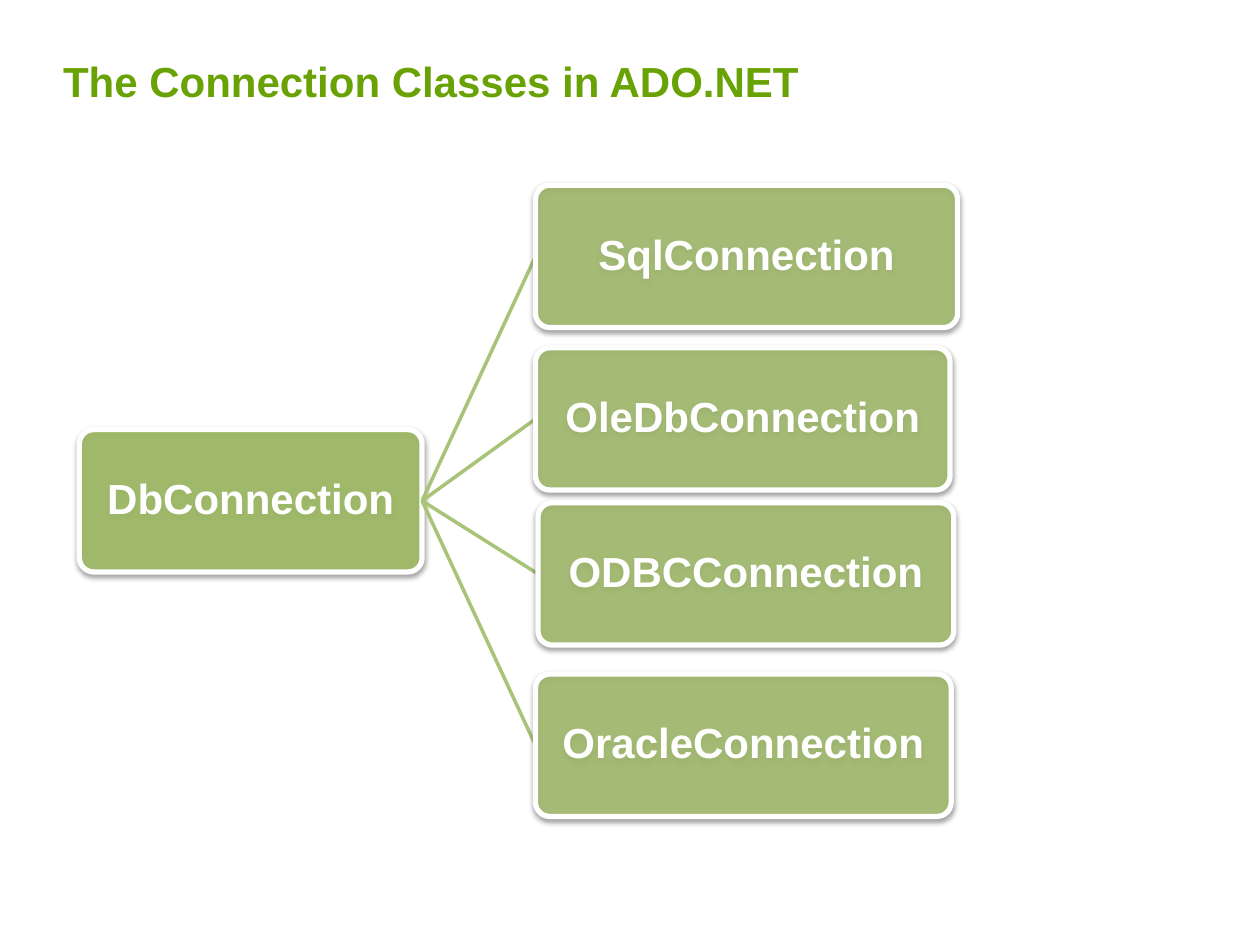
from dataclasses import dataclass

from lxml.etree import SubElement
from pptx import Presentation
from pptx.dml.color import RGBColor
from pptx.enum.shapes import MSO_CONNECTOR, MSO_SHAPE
from pptx.enum.text import MSO_ANCHOR, PP_ALIGN
from pptx.oxml.ns import qn
from pptx.util import Inches, Pt


@dataclass(frozen=True)
class Theme:
    font: str = "Arial"
    text_size: int = 24
    title: RGBColor = RGBColor(0x69, 0xA2, 0x05)
    box: RGBColor = RGBColor(0x9B, 0xBB, 0x59)
    link: RGBColor = RGBColor(0xA9, 0xC3, 0x79)
    white: RGBColor = RGBColor(0xFF, 0xFF, 0xFF)
    outline_width: int = 3
    link_width: int = 2


@dataclass(frozen=True)
class ClassBox:
    name: str
    left: float
    top: float
    width: float
    opacity: int = 70
    height: float = 1.13

    @property
    def middle(self) -> float:
        return self.top + self.height / 2

    @property
    def right(self) -> float:
        return self.left + self.width


THEME = Theme()
BASE_CLASS = ClassBox("DbConnection", 0.63, 3.41, 2.72, opacity=80)
DERIVED_CLASSES = [
    ClassBox("SqlConnection", 4.25, 1.47, 3.35),
    ClassBox("OleDbConnection", 4.25, 2.76, 3.29),
    ClassBox("ODBCConnection", 4.27, 3.99, 3.3),
    ClassBox("OracleConnection", 4.25, 5.35, 3.3),
]


def write_text(shape, text: str, color: RGBColor, alignment, frame_format: dict) -> None:
    """Fill a shape with one bold paragraph."""
    frame = shape.text_frame
    for name, value in frame_format.items():
        setattr(frame, name, value)
    paragraph = frame.paragraphs[0]
    paragraph.alignment = alignment
    run = paragraph.add_run()
    run.text = text
    font_format = {"name": THEME.font, "size": Pt(THEME.text_size), "bold": True}
    for name, value in font_format.items():
        setattr(run.font, name, value)
    run.font.color.rgb = color


def add_alpha(color_element, percent: int) -> None:
    SubElement(color_element, qn("a:alpha"), val=str(percent * 1000))


def add_shadow(shape) -> None:
    """Give a shape a soft shadow straight below it."""
    shape.shadow.inherit = False
    effects = shape.element.spPr.find(qn("a:effectLst"))
    shadow = SubElement(
        effects, qn("a:outerShdw"), blurRad=str(Pt(3.1)), dist=str(Pt(1.6)),
        dir="5400000", rotWithShape="0",
    )
    add_alpha(SubElement(shadow, qn("a:srgbClr"), val="000000"), 38)


def draw_box(slide, box: ClassBox) -> None:
    shape = slide.shapes.add_shape(
        MSO_SHAPE.ROUNDED_RECTANGLE,
        *map(Inches, (box.left, box.top, box.width, box.height)),
    )
    shape.adjustments[0] = 0.1
    shape.fill.solid()
    shape.fill.fore_color.rgb = THEME.box
    add_alpha(shape.element.spPr.find(qn("a:solidFill"))[0], box.opacity)
    shape.line.color.rgb = THEME.white
    shape.line.width = Pt(THEME.outline_width)
    add_shadow(shape)
    margins = {f"margin_{side}": Inches(0.05) for side in ("left", "top", "right", "bottom")}
    write_text(shape, box.name, THEME.white, PP_ALIGN.CENTER,
               {"word_wrap": True, "vertical_anchor": MSO_ANCHOR.MIDDLE, **margins})
    shape.text_frame.paragraphs[0].line_spacing = 0.9


def draw_link(slide, parent: ClassBox, child: ClassBox) -> None:
    ends = (parent.right, parent.middle, child.left, child.middle)
    connector = slide.shapes.add_connector(MSO_CONNECTOR.STRAIGHT, *map(Inches, ends))
    connector.line.color.rgb = THEME.link
    connector.line.width = Pt(THEME.link_width)
    SubElement(connector.element.spPr, qn("a:effectLst"))


def draw_title(slide, text: str) -> None:
    title = slide.shapes.title
    place = {"left": 0.5, "top": 0.02, "width": 9, "height": 0.87}
    for name, value in place.items():
        setattr(title, name, Inches(value))
    write_text(title, text, THEME.title, PP_ALIGN.LEFT, {
        "word_wrap": True, "vertical_anchor": MSO_ANCHOR.BOTTOM,
        "margin_left": 0, "margin_top": 0, "margin_right": 0,
        "margin_bottom": Inches(0.05),
    })


def main() -> None:
    presentation = Presentation()
    presentation.slide_width = Inches(10)
    presentation.slide_height = Inches(7.5)
    slide = presentation.slides.add_slide(presentation.slide_layouts[5])

    # Title
    draw_title(slide, "The Connection Classes in ADO.NET")

    # Base class, then each derived class with its link
    draw_box(slide, BASE_CLASS)
    for derived in DERIVED_CLASSES:
        draw_link(slide, BASE_CLASS, derived)
        draw_box(slide, derived)

    presentation.save("out.pptx")


if __name__ == "__main__":
    main()
